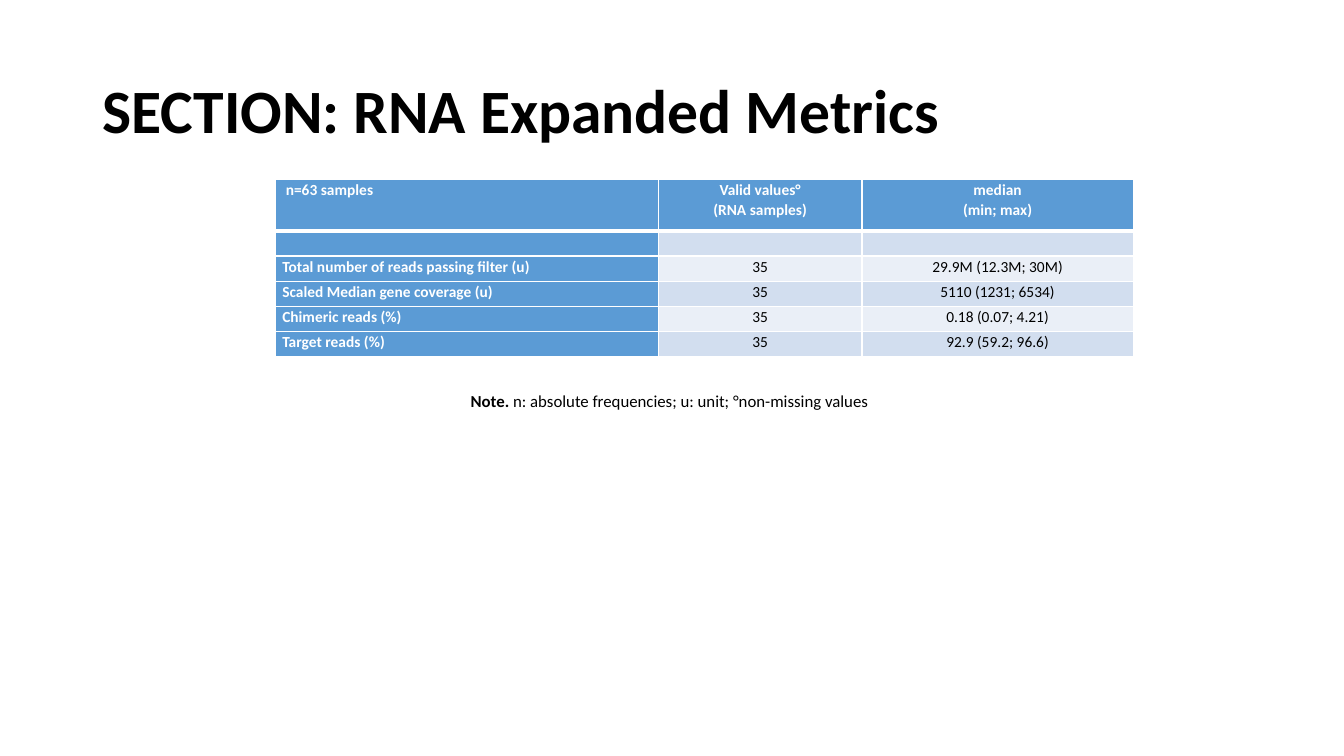
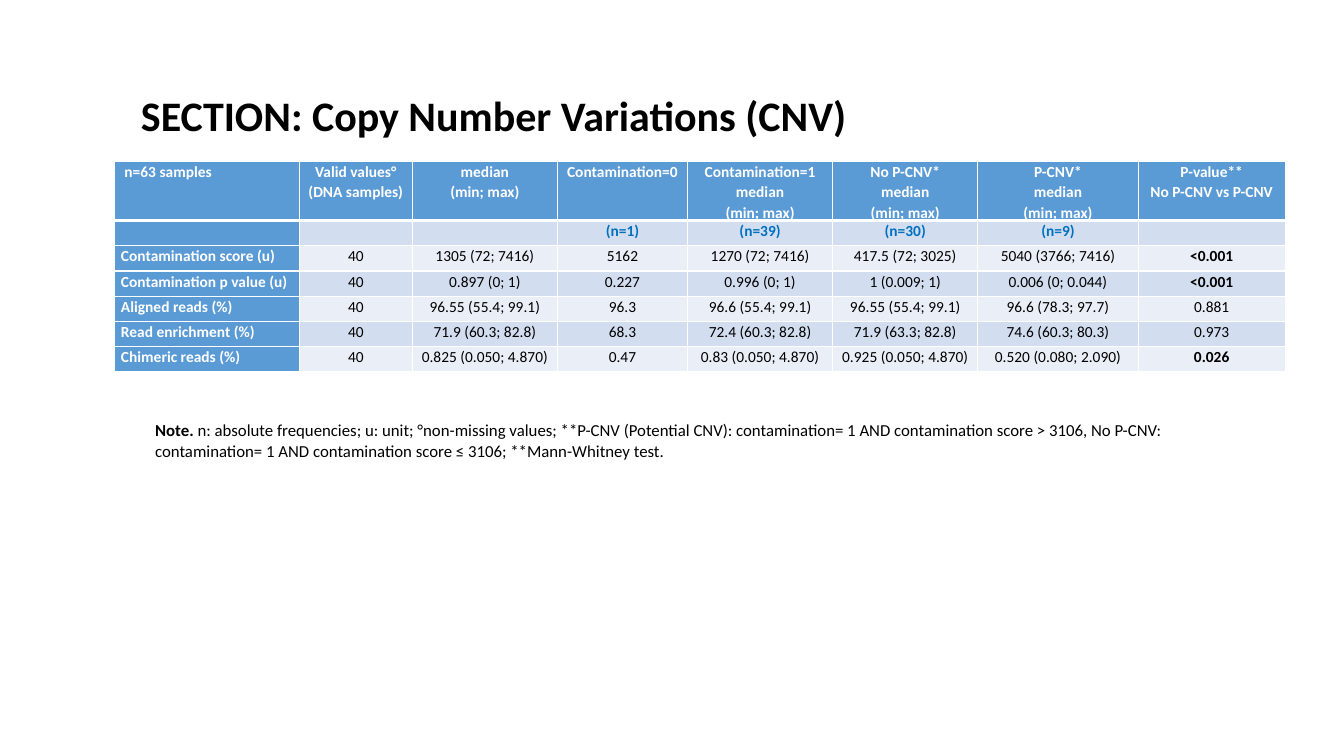
from lxml.etree import SubElement as Sub
from pptx import Presentation
from pptx.dml.color import RGBColor as RGB
from pptx.enum.text import MSO_ANCHOR as Anchor, PP_ALIGN as Align
from pptx.oxml.ns import qn
from pptx.util import Inches, Pt

HUES = {
    "text": "000000", "white": "FFFFFF", "head": "5B9BD5",
    "dark": "D2DEEF", "light": "EAEFF7", "count": "0070C0",
}


class Deck:
    font = "Calibri"
    head_h, row_h = 0.51, 0.25

    def __init__(self):
        self.prs = Presentation()
        self.prs.slide_width = Inches(13.33)
        self.prs.slide_height = Inches(7.5)

    def page(self):
        self.slide = self.prs.slides.add_slide(self.prs.slide_layouts[6])

    def style(self, para, size, hue="text", bold=False, lead=1.07):
        para.line_spacing = lead
        font = para.font
        font.name, font.size, font.bold = self.font, Pt(size), bold
        font.color.rgb = RGB.from_string(HUES[hue])

    def box(self, x, y, w, h):
        frame = self.slide.shapes.add_textbox(
            Inches(x), Inches(y), Inches(w), Inches(h)).text_frame
        frame.word_wrap = True
        return frame

    def title(self, text, x, y, size):
        frame = self.box(x, y, 11.5, 1.45)
        frame.vertical_anchor = Anchor.MIDDLE
        frame.text = text
        self.style(frame.paragraphs[0], size, bold=True, lead=0.9)

    def note(self, text, x, y, w, h):
        para = self.box(x, y, w, h).paragraphs[0]
        self.style(para, 12)
        para.space_after = Pt(8)
        para.add_run().text = "Note."
        para.runs[0].font.bold = True
        para.add_run().text = " " + text

    def edges(self, cell, row):
        props = cell._tc.get_or_add_tcPr()
        thick = {"L": 1, "R": 1, "T": 3 if row == 1 else 1,
                 "B": 3 if row == 0 else 1}
        for spot, (side, width) in enumerate(thick.items()):
            line = Sub(props, qn("a:ln" + side), w=str(Pt(width)))
            fill = Sub(line, qn("a:solidFill"))
            Sub(fill, qn("a:srgbClr"), val=HUES["white"])
            props.insert(spot, line)

    def cell(self, cell, text, row, col, strong):
        label = row == 0 or col == 0
        band = "head" if label else "dark" if row % 2 else "light"
        hue = "white" if label else "count" if row == 1 else "text"
        cell.margin_left = cell.margin_right = Inches(0.07)
        cell.margin_top = cell.margin_bottom = 0
        cell.fill.solid()
        cell.fill.fore_color.rgb = RGB.from_string(HUES[band])
        self.edges(cell, row)
        cell.text = text
        for para in cell.text_frame.paragraphs:
            self.style(para, 11, hue, hue != "text" or text in strong)
            para.alignment = Align.CENTER if col else Align.LEFT
            if not text:  # keeps empty rows low
                Sub(para._p, qn("a:endParaRPr"), sz="1100")

    def table(self, x, y, cols, rows, strong=()):
        high = self.head_h + self.row_h * (len(rows) - 1)
        grid = self.slide.shapes.add_table(
            len(rows), len(cols), Inches(x), Inches(y),
            Inches(sum(cols)), Inches(high)).table
        for col, width in zip(grid.columns, cols):
            col.width = Inches(width)
        for r, row in enumerate(rows):
            grid.rows[r].height = Inches(self.row_h if r else self.head_h)
            for c, text in enumerate(row):
                self.cell(grid.cell(r, c), text, r, c, strong)

    def save(self):
        self.prs.save("out.pptx")


deck = Deck()
SIZE = "\u00a0n=63 samples"
RANGE = "median\n(min; max)"
TERMS = "n: absolute frequencies; u: unit; °non-missing values"

# RNA metrics
deck.page()
deck.title("SECTION: RNA Expanded Metrics", 0.92, 0.4, 44)
deck.table(2.73, 1.78, [3.8, 2.02, 2.69], [
    [SIZE, "Valid values°\n(RNA samples)", RANGE],
    [""] * 3,
    ["Total number of reads passing filter (u)", "35", "29.9M (12.3M; 30M)"],
    ["Scaled Median gene coverage (u)", "35", "5110 (1231; 6534)"],
    ["Chimeric reads (%)", "35", "0.18 (0.07; 4.21)"],
    ["Target reads (%)", "35", "92.9 (59.2; 96.6)"],
])
deck.note(TERMS, 4.57, 3.81, 4.2, 0.32)

# Copy number variations
deck.page()
deck.title("SECTION: Copy Number Variations (CNV)", 1.3, 0.44, 30)
deck.table(1.13, 1.6, [1.84, 1.12, 1.44, 1.29, 1.44, 1.44, 1.59, 1.46], [
    [SIZE, "Valid values°\n(DNA samples)", RANGE, "Contamination=0",
     "Contamination=1\n" + RANGE, "No P-CNV*\n" + RANGE,
     "P-CNV*\n" + RANGE, "P-value**\nNo P-CNV vs P-CNV"],
    ["", "", "", "(n=1)", "(n=39)", "(n=30)", "(n=9)", ""],
    ["Contamination score (u)", "40", "1305 (72; 7416)", "5162",
     "1270 (72; 7416)", "417.5 (72; 3025)", "5040 (3766; 7416)", "<0.001"],
    ["Contamination p value (u)", "40", "0.897 (0; 1)", "0.227",
     "0.996 (0; 1)", "1 (0.009; 1)", "0.006 (0; 0.044)", "<0.001"],
    ["Aligned reads (%)", "40", "96.55 (55.4; 99.1)", "96.3",
     "96.6 (55.4; 99.1)", "96.55 (55.4; 99.1)", "96.6 (78.3; 97.7)", "0.881"],
    ["Read enrichment (%)", "40", "71.9 (60.3; 82.8)", "68.3",
     "72.4 (60.3; 82.8)", "71.9 (63.3; 82.8)", "74.6 (60.3; 80.3)", "0.973"],
    ["Chimeric reads (%)", "40", "0.825 (0.050; 4.870)", "0.47",
     "0.83 (0.050; 4.870)", "0.925 (0.050; 4.870)", "0.520 (0.080; 2.090)",
     "0.026"],
], strong={"<0.001", "0.026"})
deck.note(TERMS + "; **P-CNV (Potential CNV): contamination= 1 AND "
          "contamination score > 3106, No P-CNV: contamination= 1 AND "
          "contamination score ≤ 3106; **Mann-Whitney test.",
          1.44, 4.1, 11.02, 0.53)

deck.save()
